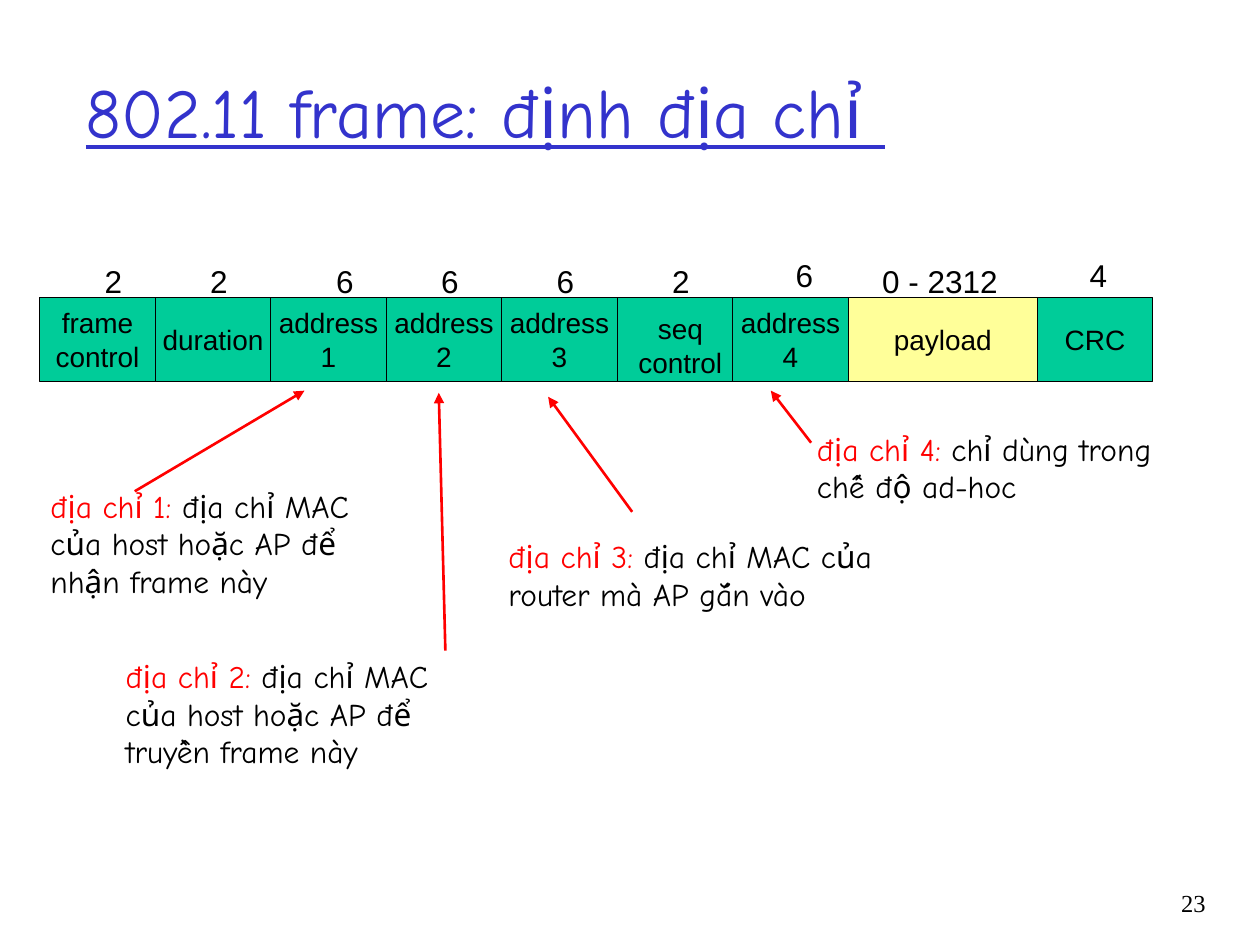
"""Build the slide on addressing in the 802.11 frame."""
from lxml.etree import SubElement
from pptx import Presentation
from pptx.dml.color import RGBColor
from pptx.enum.shapes import MSO_CONNECTOR, MSO_SHAPE
from pptx.enum.text import MSO_ANCHOR, PP_ALIGN
from pptx.oxml.ns import qn
from pptx.util import Pt

BLACK = RGBColor(0x00, 0x00, 0x00)
RED = RGBColor(0xFF, 0x00, 0x00)
BLUE = RGBColor(0x33, 0x33, 0xCC)
GREEN = RGBColor(0x00, 0xCC, 0x99)
YELLOW = RGBColor(0xFF, 0xFF, 0x99)

BODY, HAND, SERIF = "Arial", "Comic Neue", "Times New Roman"

TITLE = "802.11 frame: định địa chỉ "
PAGE = "23"

FIELDS = [
    (["frame", "control"], 66, GREEN, "2", 52.75, 146),
    (["duration"], 66, GREEN, "2", 113, 146),
    (["address", "1"], 66, GREEN, "6", 185, 146),
    (["address", "2"], 66, GREEN, "6", 245, 146),
    (["address", "3"], 66, GREEN, "6", 311, 146),
    ([], 66, GREEN, "2", 377, 146),
    (["address", "4"], 66, GREEN, "6", 447.5, 142.5),
    (["payload"], 108, YELLOW, "0 - 2312", 497, 146),
    (["CRC"], 66, GREEN, "4", 615.5, 142.5),
]
SEQ_LINES = ["seq", "control"]
FRAME_LEFT, FRAME_TOP, FRAME_HEIGHT = 22.75, 170, 48

NOTES = [
    ("địa chỉ 1:", " địa chỉ MAC của host hoặc AP để nhận frame này",
     (21.75, 274.5, 194, 72), (77, 280.75), (174, 223.25)),
    ("địa chỉ 2:", " địa chỉ MAC của host hoặc AP để truyền frame này",
     (64.75, 371.75, 209.5, 72), (254.5, 371.75), (250.75, 224.5)),
    ("địa chỉ 3:", " địa chỉ MAC của router mà AP gắn vào",
     (283.5, 303.25, 240.5, 50), (361.25, 292.5), (313.25, 226.75)),
    ("địa chỉ 4:", " chỉ dùng trong chế độ ad-hoc",
     (459.75, 242, 208, 50), (463.5, 253), (440.5, 223.25)),
]


def write(sp, lines, size, font, align=PP_ALIGN.LEFT,
          anchor=MSO_ANCHOR.TOP, wrap=False, underline=None):
    """Fill a shape with lines, each a list of (text, colour) runs."""
    tf = sp.text_frame
    tf.word_wrap = wrap
    tf.vertical_anchor = anchor
    for i, runs in enumerate(lines):
        p = tf.paragraphs[0] if i == 0 else tf.add_paragraph()
        p.alignment = align
        for text, color in runs:
            r = p.add_run()
            r.text = text
            r.font.size = Pt(size)
            r.font.name = font
            r.font.color.rgb = color
            r.font.underline = underline


def add_text(s, box, lines, size, font, **style):
    """Add a text box at box, given in points."""
    sp = s.shapes.add_textbox(*map(Pt, box))
    write(sp, lines, size, font, **style)


def add_field(s, left, width, fill, lines):
    """Add one field of the frame."""
    sp = s.shapes.add_shape(MSO_SHAPE.RECTANGLE, Pt(left), Pt(FRAME_TOP),
                            Pt(width), Pt(FRAME_HEIGHT))
    sp.shadow.inherit = False
    sp.fill.solid()
    sp.fill.fore_color.rgb = fill
    sp.line.color.rgb = BLACK
    sp.line.width = Pt(0.75)
    write(sp, [[(line, BLACK)] for line in lines], 16, BODY,
          align=PP_ALIGN.CENTER, anchor=MSO_ANCHOR.MIDDLE)


def add_arrow(s, start, end):
    """Add a red arrow that points at end."""
    sp = s.shapes.add_connector(MSO_CONNECTOR.STRAIGHT,
                                *map(Pt, start + end))
    sp.line.color.rgb = RED
    sp.line.width = Pt(1.5)
    props = sp.element.spPr
    SubElement(props.find(qn("a:ln")), qn("a:tailEnd"), type="triangle")
    SubElement(props, qn("a:effectLst"))


def main():
    """Lay out the slide and save it."""
    prs = Presentation()
    prs.slide_width, prs.slide_height = Pt(720), Pt(540)
    s = prs.slides.add_slide(prs.slide_layouts[6])

    left = FRAME_LEFT
    for lines, width, fill, *_ in FIELDS:
        add_field(s, left, width, fill, lines)
        left += width
    for *_, count, x, y in FIELDS:
        add_text(s, (x, y, 14.4 + 10 * len(count), 29),
                 [[(count, BLACK)]], 18, BODY)
    add_text(s, (353.75, 174.5, 70, 46),
             [[(line, BLACK)] for line in SEQ_LINES],
             16, BODY, align=PP_ALIGN.CENTER)

    add_text(s, (42, 18, 612, 90), [[(TITLE, BLUE)]], 40, HAND,
             anchor=MSO_ANCHOR.MIDDLE, wrap=True, underline=True)
    for label, body, box, start, end in NOTES:
        add_text(s, box, [[(label, RED), (body, BLACK)]], 18, HAND, wrap=True)
        add_arrow(s, start, end)
    add_text(s, (643, 504, 53, 36), [[(PAGE, BLACK)]], 14, SERIF,
             align=PP_ALIGN.RIGHT, wrap=True)

    prs.save("out.pptx")


if __name__ == "__main__":
    main()
